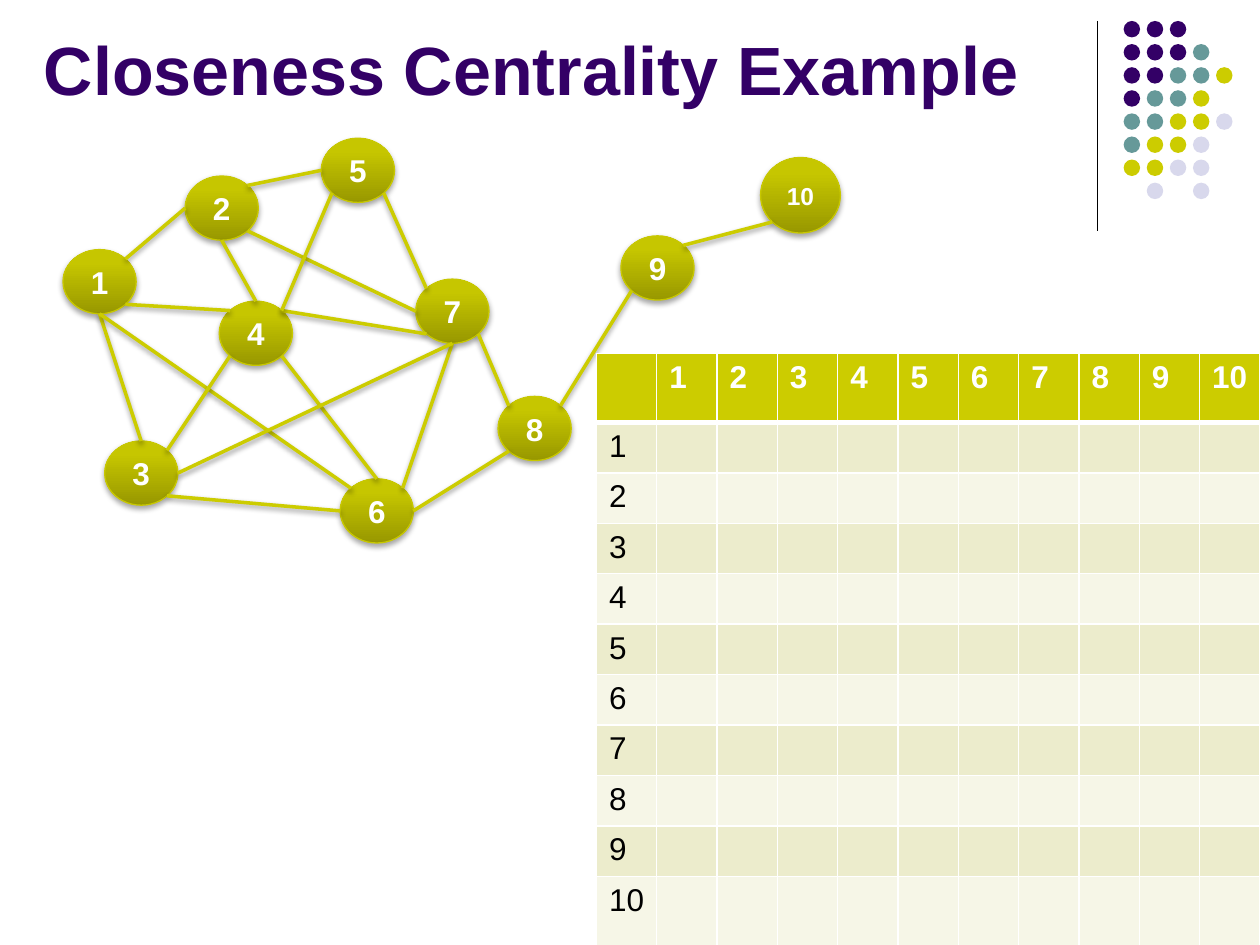
from dataclasses import dataclass
from enum import Enum
from math import sqrt

from lxml.etree import SubElement
from pptx import Presentation
from pptx.dml.color import RGBColor
from pptx.enum.shapes import MSO_CONNECTOR as Connector, MSO_SHAPE as Preset
from pptx.enum.text import MSO_ANCHOR as Anchor, PP_ALIGN as Align
from pptx.oxml import parse_xml
from pptx.oxml.ns import nsdecls, qn
from pptx.util import Pt


@dataclass(frozen=True)
class Theme:
    font: str = "Arial"
    title_size: float = 39
    body_size: float = 18
    small_size: float = 14
    purple: str = "330066"
    teal: str = "669999"
    olive: str = "CCCC00"
    lavender: str = "D8D8EC"
    black: str = "000000"
    white: str = "FFFFFF"
    node_line: str = "C8C800"
    node_gradient: tuple = ((0, "989800"), (80, "C6C600"), (100, "C7C700"))
    bands: tuple = ("ECECCC", "F6F6E7")


@dataclass(frozen=True)
class Node:
    left: float
    top: float
    width: float = 41.8
    height: float = 36.7
    size: float = 18


@dataclass(frozen=True)
class Edge:
    start: int
    start_site: "Site"
    end: int
    end_site: "Site"


DIAGONAL = 1 / sqrt(2)


class Site(Enum):
    """Direction from the centre of a node to a point on its rim."""
    T = (0, -1)
    B = (0, 1)
    L = (-1, 0)
    R = (1, 0)
    TL = (-DIAGONAL, -DIAGONAL)
    TR = (DIAGONAL, -DIAGONAL)
    BL = (-DIAGONAL, DIAGONAL)
    BR = (DIAGONAL, DIAGONAL)


THEME = Theme()

NODES = {
    1: Node(36, 142.6), 2: Node(105.8, 100.6), 3: Node(59.8, 252),
    4: Node(125.3, 172.1), 5: Node(183.6, 79), 6: Node(194.4, 273.6),
    7: Node(237.6, 159.5), 10: Node(434.6, 90, 45.6, 43.2, THEME.small_size),
    9: Node(354.8, 134.8), 8: Node(284.6, 226.5),
}

EDGES = [
    Edge(1, Site.TR, 2, Site.L), Edge(1, Site.B, 3, Site.T),
    Edge(1, Site.BR, 4, Site.TL), Edge(4, Site.T, 2, Site.B),
    Edge(1, Site.B, 6, Site.TL), Edge(2, Site.TR, 5, Site.L),
    Edge(2, Site.BR, 7, Site.L), Edge(4, Site.TR, 7, Site.BL),
    Edge(4, Site.BR, 6, Site.T), Edge(6, Site.TR, 7, Site.B),
    Edge(5, Site.BR, 7, Site.TL), Edge(7, Site.BR, 8, Site.TL),
    Edge(6, Site.R, 8, Site.BL), Edge(8, Site.TR, 9, Site.BL),
    Edge(9, Site.TR, 10, Site.BL), Edge(3, Site.TR, 4, Site.BL),
    Edge(3, Site.BR, 6, Site.L), Edge(3, Site.R, 7, Site.B),
    Edge(5, Site.BL, 4, Site.TR),
]

# One letter per dot: purple, teal, olive, lavender
DOT_ROWS = ["PPP", "PPPT", "PPTTO", "PTTO", "TTOOL", "TOOL", "OOLL", " L L"]
DOT_COLORS = {"P": THEME.purple, "T": THEME.teal, "O": THEME.olive, "L": THEME.lavender}


def rgb(color: str) -> RGBColor:
    return RGBColor.from_string(color)


def add_run(paragraph, text: str, size: float, color: str, bold: bool) -> None:
    run = paragraph.add_run()
    run.text = text
    run.font.name = THEME.font
    run.font.size = Pt(size)
    run.font.bold = bold
    run.font.color.rgb = rgb(color)


def add_shadow(effects, distance: float, opacity: int) -> None:
    effects.append(parse_xml(
        f'<a:outerShdw {nsdecls("a")} blurRad="{Pt(3.15)}" dist="{Pt(distance)}" dir="5400000" '
        f'rotWithShape="0"><a:srgbClr val="{THEME.black}"><a:alpha val="{opacity * 1000}"/>'
        '</a:srgbClr></a:outerShdw>'))


def add_line(slide, start: tuple, end: tuple, color: str, width: float):
    """Draw a straight line and return its empty effect list."""
    line = slide.shapes.add_connector(Connector.STRAIGHT, *map(Pt, start + end))
    line.line.color.rgb = rgb(color)
    line.line.width = Pt(width)
    return SubElement(line._element.spPr, qn("a:effectLst"))


def add_dots(slide) -> None:
    pitch, diameter = 13.2, 9.4
    for row, letters in enumerate(DOT_ROWS):
        for column, letter in enumerate(letters):
            if letter == " ":
                continue
            dot = slide.shapes.add_shape(
                Preset.OVAL, Pt(642.1 + column * pitch), Pt(12 + row * pitch),
                Pt(diameter), Pt(diameter))
            dot.shadow.inherit = False
            dot.fill.solid()
            dot.fill.fore_color.rgb = rgb(DOT_COLORS[letter])
            dot.line.fill.background()


def add_title(slide, text: str) -> None:
    frame = slide.shapes.add_textbox(Pt(18), Pt(-23.8), Pt(648), Pt(90)).text_frame
    frame.word_wrap = True
    frame.vertical_anchor = Anchor.BOTTOM
    add_run(frame.paragraphs[0], text, THEME.title_size, THEME.purple, True)


def add_node(slide, label: int, node: Node) -> None:
    shape = slide.shapes.add_shape(
        Preset.OVAL, Pt(node.left), Pt(node.top), Pt(node.width), Pt(node.height))
    stops = "".join(f'<a:gs pos="{position * 1000}"><a:srgbClr val="{color}"/></a:gs>'
                    for position, color in THEME.node_gradient)
    properties = shape._element.spPr
    properties.append(parse_xml(
        f'<a:gradFill {nsdecls("a")} rotWithShape="1"><a:gsLst>{stops}</a:gsLst>'
        '<a:lin ang="16200000" scaled="0"/></a:gradFill>'))
    shape.line.color.rgb = rgb(THEME.node_line)
    shape.line.width = Pt(0.75)
    shape.shadow.inherit = False
    add_shadow(properties.find(qn("a:effectLst")), 1.8, 35)
    frame = shape.text_frame
    frame.vertical_anchor = Anchor.MIDDLE
    paragraph = frame.paragraphs[0]
    paragraph.alignment = Align.CENTER
    add_run(paragraph, str(label), node.size, THEME.white, True)


def rim_point(node: Node, site: Site) -> tuple:
    across, down = site.value
    return (node.left + node.width / 2 * (1 + across),
            node.top + node.height / 2 * (1 + down))


def add_edge(slide, edge: Edge) -> None:
    effects = add_line(slide, rim_point(NODES[edge.start], edge.start_site),
                       rim_point(NODES[edge.end], edge.end_site), THEME.olive, 2)
    add_shadow(effects, 1.6, 38)


def style_cell(cell, fill: str, top: float, bottom: float) -> None:
    cell.fill.solid()
    cell.fill.fore_color.rgb = rgb(fill)
    properties = cell._tc.get_or_add_tcPr()
    widths = {"lnL": 1, "lnR": 1, "lnT": top, "lnB": bottom}
    for index, (side, width) in enumerate(widths.items()):
        properties.insert(index, parse_xml(
            f'<a:{side} {nsdecls("a")} w="{Pt(width)}"><a:solidFill>'
            f'<a:srgbClr val="{THEME.white}"/></a:solidFill></a:{side}>'))


def add_distance_table(slide, count: int) -> None:
    size = count + 1
    frame = slide.shapes.add_table(size, size, Pt(340.8), Pt(202), Pt(379.2), Pt(337.7))
    table = frame.table
    for index in range(size):
        table.columns[index].width = Pt(379.2 / size)
        table.rows[index].height = Pt(39.4 if index in (0, count) else 22.3)
    for row in range(size):
        header = row == 0
        fill = THEME.olive if header else THEME.bands[(row - 1) % 2]
        for column in range(size):
            cell = table.cell(row, column)
            style_cell(cell, fill, 3 if row == 1 else 1, 3 if header else 1)
            if header != (column == 0):
                add_run(cell.text_frame.paragraphs[0], str(row + column), THEME.body_size,
                        THEME.white if header else THEME.black, header)


def main() -> None:
    presentation = Presentation()
    presentation.slide_width, presentation.slide_height = Pt(720), Pt(540)
    slide = presentation.slides.add_slide(presentation.slide_layouts[6])

    # Corner decoration and title
    add_line(slide, (627, 12), (627, 132), THEME.black, 0.75)
    add_dots(slide)
    add_title(slide, "Closeness Centrality Example")

    # Network
    for label, node in NODES.items():
        add_node(slide, label, node)
    for edge in EDGES:
        add_edge(slide, edge)

    # Empty distance matrix
    add_distance_table(slide, len(NODES))
    presentation.save("out.pptx")


if __name__ == "__main__":
    main()
